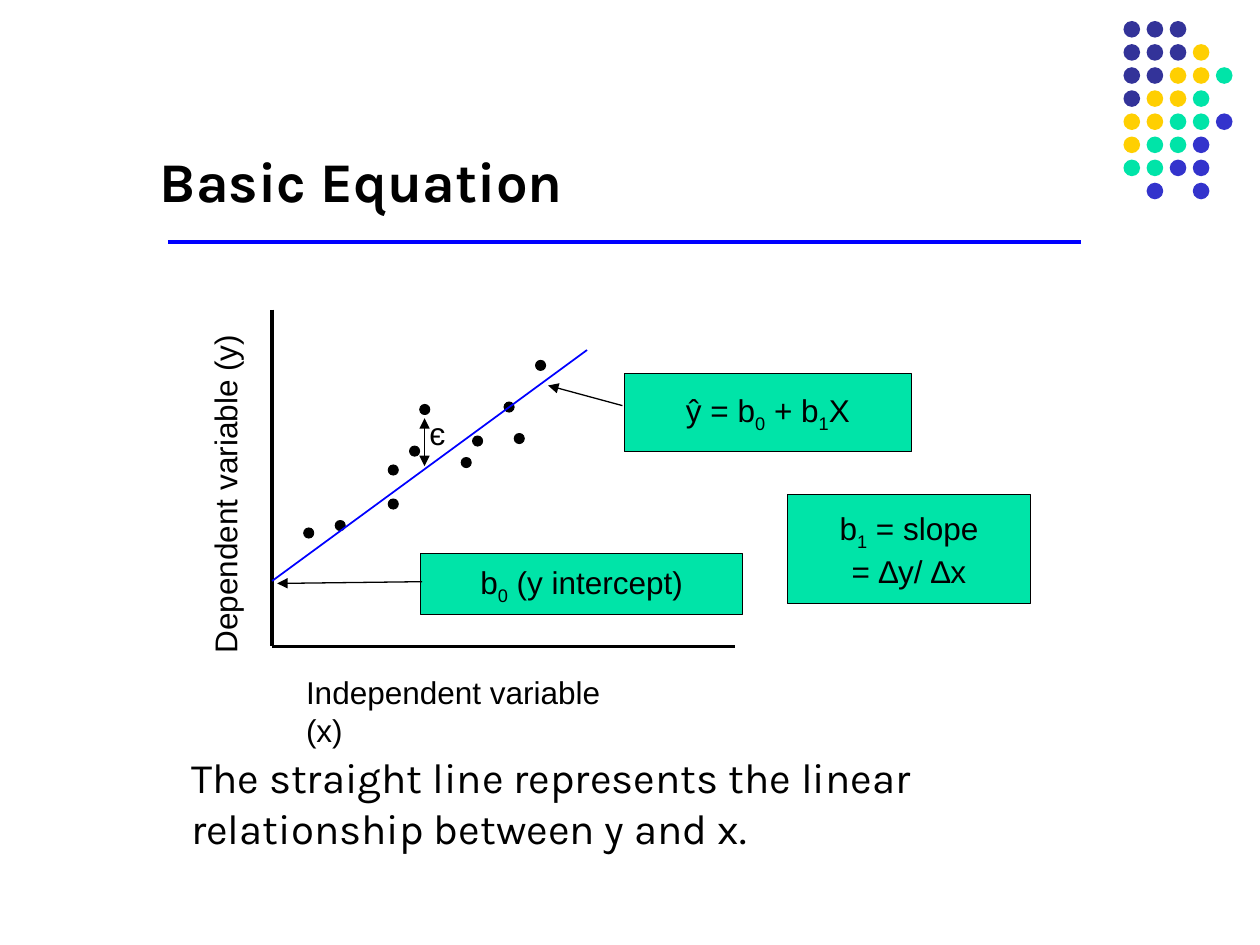
from dataclasses import dataclass
from typing import NamedTuple

from lxml.etree import SubElement
from pptx import Presentation
from pptx.dml.color import RGBColor
from pptx.enum.shapes import MSO_CONNECTOR, MSO_SHAPE
from pptx.enum.text import MSO_ANCHOR, MSO_AUTO_SIZE, PP_ALIGN
from pptx.oxml.ns import qn
from pptx.util import Pt


@dataclass(frozen=True)
class Theme:
    black: str = "000000"
    blue: str = "0000FF"
    navy: str = "333399"
    yellow: str = "FFCF01"
    green: str = "00E4A8"
    violet: str = "3333CC"
    heading_font: str = "Karla"
    label_font: str = "Arial"
    title_size: int = 32
    body_size: int = 24
    label_size: int = 18


class Box(NamedTuple):
    x: float
    y: float
    w: float
    h: float


class Line(NamedTuple):
    x1: float
    y1: float
    x2: float
    y2: float
    color: str
    width: float
    ends: tuple = ()


class Label(NamedTuple):
    text: str
    box: Box
    font: str
    size: int
    rotation: int = 0
    wrap: bool = True


class Callout(NamedTuple):
    lines: tuple
    box: Box


T = Theme()

DOT_COLORS = {"n": T.navy, "y": T.yellow, "g": T.green, "v": T.violet}
DOT_ROWS = ("nnn", "nnny", "nnyyg", "nyyg", "yyggv", "yggv", "ggvv", " v v")
DOT_X, DOT_Y, DOT_PITCH, DOT_SIZE = 642, 12, 13.2, 9.5

POINT_SIZE = 5.8
POINTS = (
    (173.5, 301.7), (191.5, 297.4), (221.8, 285.1), (221.8, 265.7),
    (234, 254.9), (239.8, 231.1), (263.5, 261.4), (270, 249.1),
    (288, 229.7), (293.8, 247.7), (306, 205.9),
)

LINES = (
    Line(96, 138.2, 618, 138.2, T.blue, 2.25),
    Line(155.5, 177, 155.5, 369.4, T.black, 2),
    Line(155.5, 369.4, 419.8, 369.4, T.black, 2),
    Line(155.5, 332, 335.5, 200, T.blue, 1),
    Line(355.7, 231.8, 313.2, 220.3, T.black, 0.75, ("tailEnd",)),
    Line(242.6, 239, 242.6, 266.4, T.black, 0.75, ("headEnd", "tailEnd")),
)
INTERCEPT_ARROW = Line(241.2, 332.4, 158.4, 333.4, T.black, 0.75, ("tailEnd",))

CALLOUTS = (
    Callout(("ŷ = b_0 + b_1X",), Box(356.7, 213.6, 164.2, 44.6)),
    Callout(("b_0 (y intercept)",), Box(240.3, 316.5, 184.2, 34.6)),
    Callout(("b_1 = slope", "= ∆y/ ∆x"), Box(450, 282.6, 138.8, 62.4)),
)

LABELS = (
    Label("Independent variable (x)", Box(167.8, 381, 208, 28.8),
          T.label_font, T.label_size, wrap=False),
    Label("Dependent variable (y)", Box(25.2, 262.8, 206.6, 28.8),
          T.label_font, T.label_size, rotation=270),
    Label("є", Box(238.3, 233.3, 23.8, 28.8), T.label_font, T.label_size),
    Label("The straight line represents the linear relationship between y and x.",
          Box(102.2, 426.2, 481, 64.8), T.heading_font, T.body_size),
)


def rgb(color: str) -> RGBColor:
    return RGBColor.from_string(color)


def set_font(p, name: str, size: int, bold: bool = False) -> None:
    p.font.name = name
    p.font.size = Pt(size)
    p.font.bold = bold
    p.font.color.rgb = rgb(T.black)


def add_subscripted(p, text: str) -> None:
    first, *rest = text.split("_")
    p.add_run().text = first
    for part in rest:
        r = p.add_run()
        r.text = part[0]
        r._r.get_or_add_rPr().set("baseline", "-25000")
        if part[1:]:
            p.add_run().text = part[1:]


def add_filled(s, kind: MSO_SHAPE, box: Box, fill: str, line_width: float = 0):
    sp = s.shapes.add_shape(kind, *map(Pt, box))
    sp.shadow.inherit = False
    sp.fill.solid()
    sp.fill.fore_color.rgb = rgb(fill)
    if line_width:
        sp.line.color.rgb = rgb(T.black)
        sp.line.width = Pt(line_width)
    else:
        sp.line.fill.background()
    return sp


def add_line(s, line: Line) -> None:
    ends = map(Pt, (line.x1, line.y1, line.x2, line.y2))
    sp = s.shapes.add_connector(MSO_CONNECTOR.STRAIGHT, *ends)
    sp.line.color.rgb = rgb(line.color)
    sp.line.width = Pt(line.width)
    for end in line.ends:
        SubElement(sp.line._get_or_add_ln(), qn(f"a:{end}"), type="triangle")
    SubElement(sp._element.spPr, qn("a:effectLst"))


def add_label(s, label: Label) -> None:
    sp = s.shapes.add_textbox(*map(Pt, label.box))
    sp.rotation = label.rotation
    tf = sp.text_frame
    tf.word_wrap = label.wrap
    p = tf.paragraphs[0]
    p.text = label.text
    set_font(p, label.font, label.size)


def add_callout(s, callout: Callout) -> None:
    tf = add_filled(s, MSO_SHAPE.RECTANGLE, callout.box, T.green, 0.75).text_frame
    tf.word_wrap = False
    tf.vertical_anchor = MSO_ANCHOR.MIDDLE
    for i, text in enumerate(callout.lines):
        p = tf.add_paragraph() if i else tf.paragraphs[0]
        p.alignment = PP_ALIGN.CENTER
        set_font(p, T.label_font, T.label_size)
        add_subscripted(p, text)


def add_title(s, text: str, box: Box) -> None:
    sp = s.shapes.title
    sp.left, sp.top, sp.width, sp.height = map(Pt, box)
    tf = sp.text_frame
    tf.auto_size = MSO_AUTO_SIZE.NONE
    tf.vertical_anchor = MSO_ANCHOR.BOTTOM
    p = tf.paragraphs[0]
    p.text = text
    p.alignment = PP_ALIGN.LEFT
    set_font(p, T.heading_font, T.title_size, bold=True)


def add_dot_grid(s) -> None:
    for row, codes in enumerate(DOT_ROWS):
        for col, code in enumerate(codes):
            if code in DOT_COLORS:
                box = Box(DOT_X + col * DOT_PITCH, DOT_Y + row * DOT_PITCH,
                          DOT_SIZE, DOT_SIZE)
                add_filled(s, MSO_SHAPE.OVAL, box, DOT_COLORS[code])


def main() -> None:
    prs = Presentation()
    prs.slide_width, prs.slide_height = Pt(720), Pt(540)
    s = prs.slides.add_slide(prs.slide_layouts[5])
    add_dot_grid(s)
    add_title(s, "Basic Equation", Box(84.2, 48.2, 613.4, 77.8))
    for x, y in POINTS:
        add_filled(s, MSO_SHAPE.OVAL, Box(x, y, POINT_SIZE, POINT_SIZE), T.black, 0.5)
    for line in LINES:
        add_line(s, line)
    for callout in CALLOUTS:
        add_callout(s, callout)
    add_line(s, INTERCEPT_ARROW)
    for label in LABELS:
        add_label(s, label)
    prs.save("out.pptx")


if __name__ == "__main__":
    main()
